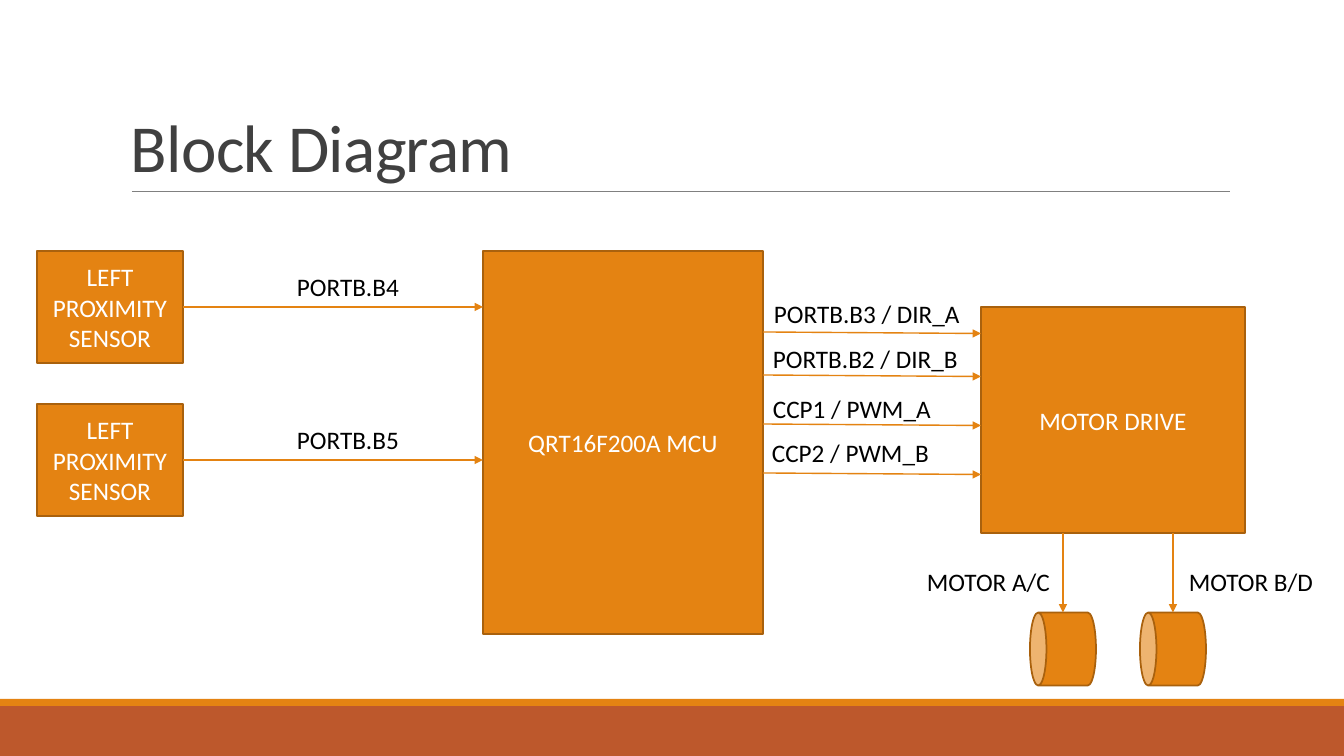
import pptx
import pptx.util
import pptx.dml.color
import pptx.enum.shapes
import pptx.enum.text
import pptx.oxml.ns
from lxml import etree

RGB = pptx.dml.color.RGBColor
SHAPE = pptx.enum.shapes.MSO_SHAPE
ALIGN = pptx.enum.text.PP_ALIGN
ANCHOR = pptx.enum.text.MSO_ANCHOR
qn = pptx.oxml.ns.qn

ORANGE = RGB(0xE4, 0x83, 0x12)
EDGE = RGB(0xA9, 0x61, 0x0D)
RUST = RGB(0xBD, 0x58, 0x2C)
GRAY = RGB(0x80, 0x80, 0x80)
DARK = RGB(0x40, 0x40, 0x40)
BLACK = RGB(0, 0, 0)
WHITE = RGB(255, 255, 255)

# Content: boxes are left, top, width, height in px
WIDTH, HEIGHT = 1344, 756
TITLE = "Block Diagram"
BANDS = [(706, 50, RUST), (699, 7, ORANGE)]
SENSOR = (37, 251, 146, 112)
SENSOR_STEP = 153
SENSOR_TEXT = "LEFT PROXIMITY SENSOR"
MCU = (483, 251, 280, 383)
MCU_TEXT = "QRT16F200A MCU"
DRIVE = (981, 307, 264, 226)
DRIVE_TEXT = "MOTOR DRIVE"
INPUTS = ["PORTB.B4", "PORTB.B5"]
# text, label left, label top, label width, arrow start height
SIGNALS = [
    ("PORTB.B3 / DIR_A", 764, 293, 208, 332),
    ("PORTB.B2 / DIR_B", 763, 338, 207, 375),
    ("CCP1 / PWM_A", 763, 388, 179, 424),
    ("CCP2 / PWM_B", 762, 432, 179, 473),
]
# text, label left, label width, motor centre
MOTORS = [("MOTOR A/C", 917, 144, 1063), ("MOTOR B/D", 1179, 145, 1173)]
LABEL_HEIGHT = 40
CAN_WIDTH, CAN_HEIGHT, CAN_MIDDLE = 73, 66, 649


def px(n):
    return pptx.util.Emu(round(n * 914400 / 100.8))


def write(tf, text, size=18, color=BLACK, align=ALIGN.LEFT,
          anchor=ANCHOR.TOP, wrap=True, line_spacing=None, track=None):
    tf.word_wrap = wrap
    tf.vertical_anchor = anchor
    p = tf.paragraphs[0]
    p.alignment = align
    if line_spacing:
        p.line_spacing = line_spacing
    r = p.add_run()
    r.text = text
    r.font.name = "Calibri"
    r.font.size = pptx.util.Pt(size)
    r.font.color.rgb = color
    if track:
        r.font._element.set("spc", str(track))


def add_label(text, *box, **style):
    tb = s.shapes.add_textbox(*map(px, box))
    write(tb.text_frame, text, **style)


def add_block(kind, box, text=None, fill=ORANGE, edge=EDGE):
    sp = s.shapes.add_shape(kind, *map(px, box))
    sp.shadow.inherit = False
    sp.fill.solid()
    sp.fill.fore_color.rgb = fill
    if edge is None:
        sp.line.fill.background()
    else:
        sp.line.color.rgb = edge
        sp.line.width = pptx.util.Pt(1.25)
    if text:
        write(sp.text_frame, text, color=WHITE, align=ALIGN.CENTER,
              anchor=ANCHOR.MIDDLE)
    return sp


def add_line(*ends, color=ORANGE, width=1, arrow=True):
    straight = pptx.enum.shapes.MSO_CONNECTOR.STRAIGHT
    c = s.shapes.add_connector(straight, *map(px, ends))
    c.line.color.rgb = color
    c.line.width = pptx.util.Pt(width)
    if arrow:
        etree.SubElement(c.line._get_or_add_ln(), qn("a:tailEnd"),
                         type="triangle")
    etree.SubElement(c._element.spPr, qn("a:effectLst"))


prs = pptx.Presentation()
prs.slide_width, prs.slide_height = px(WIDTH), px(HEIGHT)
s = prs.slides.add_slide(prs.slide_layouts[6])

# Footer bands, title and rule
for top, height, color in BANDS:
    add_block(SHAPE.RECTANGLE, (0, top, WIDTH, height), fill=color, edge=None)
add_line(132, 191, 1230, 191, color=GRAY, width=0.5, arrow=False)
add_label(TITLE, 121, 31, 1109, 160, size=48, color=DARK,
          anchor=ANCHOR.BOTTOM, line_spacing=0.85, track=-50)

# Controller and motor drive
add_block(SHAPE.RECTANGLE, MCU, MCU_TEXT)
add_block(SHAPE.RECTANGLE, DRIVE, DRIVE_TEXT)
mcu_right = MCU[0] + MCU[2]
drive_bottom = DRIVE[1] + DRIVE[3]

# Sensors with their input lines
left, top, width, height = SENSOR
for i, port in enumerate(INPUTS):
    y = top + i * SENSOR_STEP
    middle = y + height / 2
    add_block(SHAPE.RECTANGLE, (left, y, width, height), SENSOR_TEXT)
    add_line(left + width, middle, MCU[0], middle)
    add_label(port, 287, middle - 41, 123, LABEL_HEIGHT, wrap=False)

# Signals from controller to drive
for text, x, y, width, start in SIGNALS:
    add_line(mcu_right, start, DRIVE[0], start + 1.5)
    add_label(text, x, y, width, LABEL_HEIGHT, wrap=False)

# Motors
for text, x, width, center in MOTORS:
    can = add_block(SHAPE.CAN, (center - CAN_WIDTH / 2,
                                CAN_MIDDLE - CAN_HEIGHT / 2,
                                CAN_WIDTH, CAN_HEIGHT))
    can.rotation = 270
    add_line(center, drive_bottom, center, CAN_MIDDLE - CAN_WIDTH / 2)
    add_label(text, x, 561, width, LABEL_HEIGHT, wrap=False)

prs.save("out.pptx")
